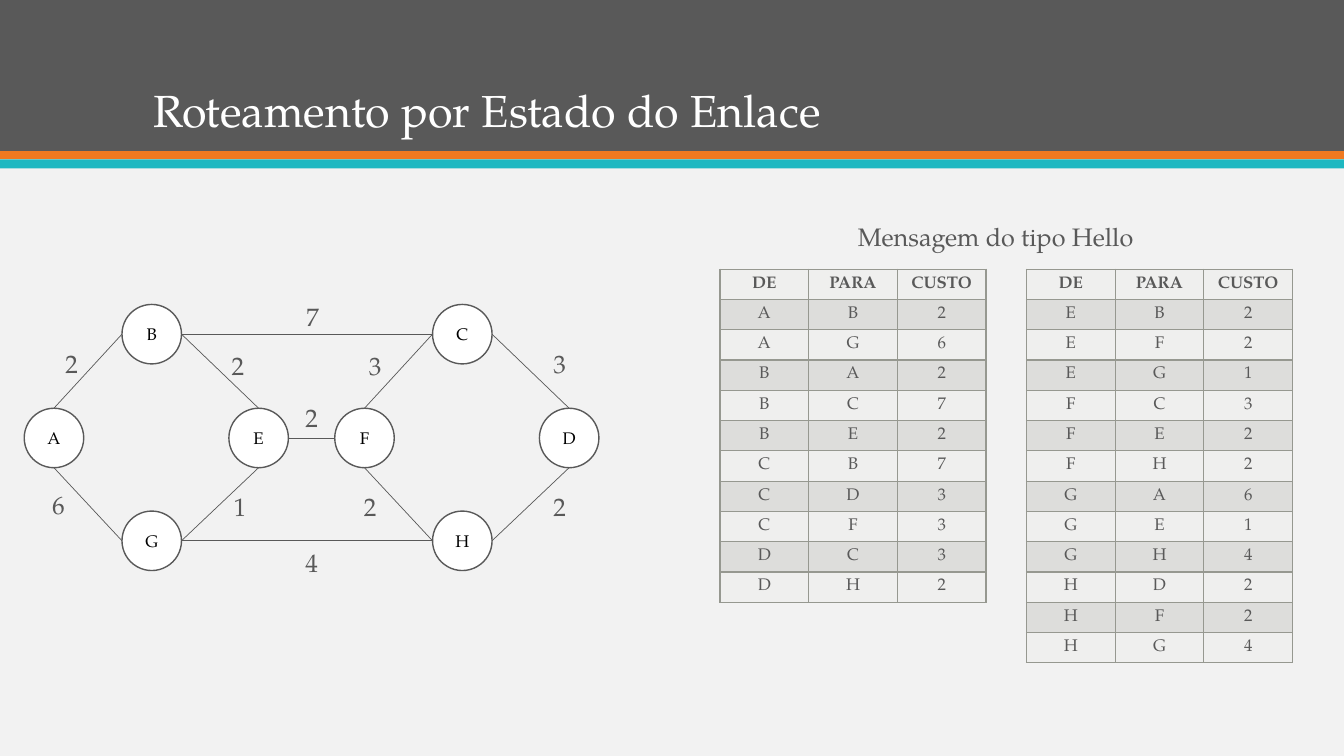
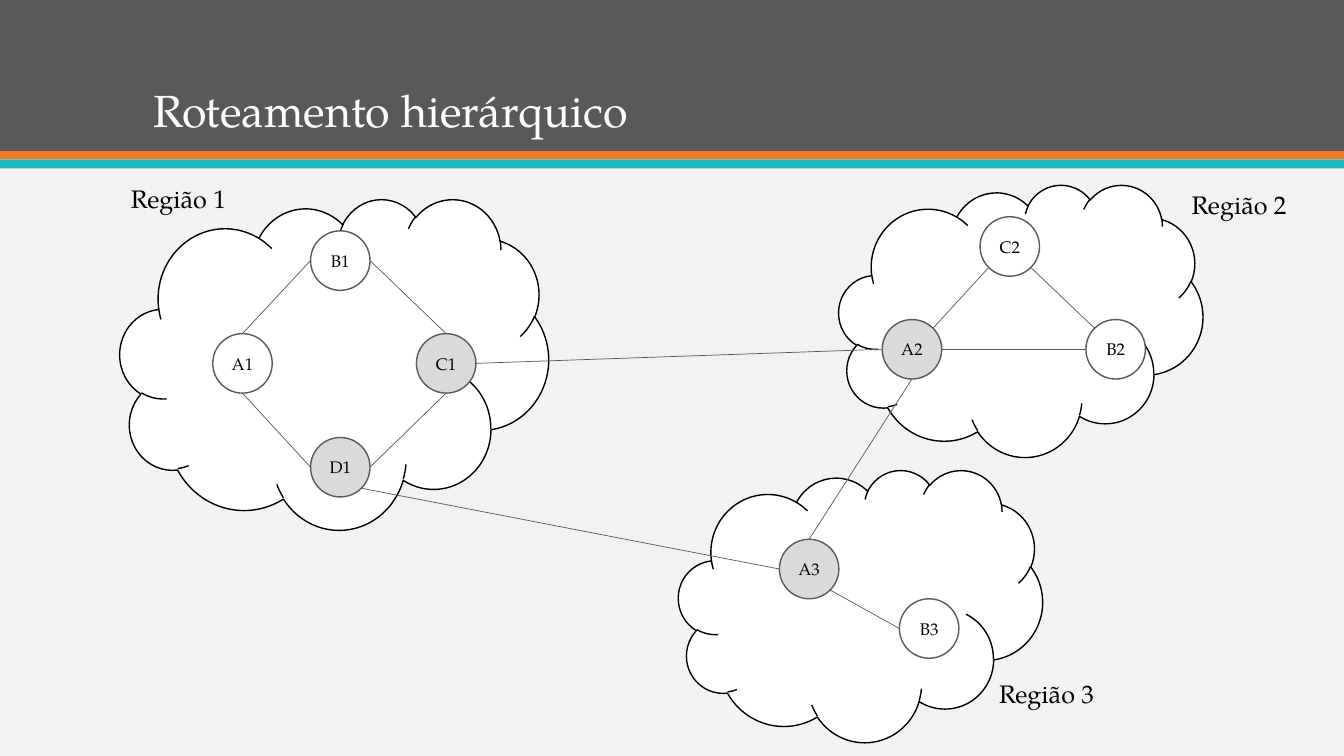
from collections import namedtuple
from dataclasses import dataclass
from math import cos, pi, sin

from lxml.etree import SubElement
from pptx import Presentation
from pptx.dml.color import RGBColor
from pptx.enum.shapes import MSO_CONNECTOR, MSO_SHAPE
from pptx.enum.text import MSO_ANCHOR, MSO_AUTO_SIZE, PP_ALIGN
from pptx.oxml.ns import qn
from pptx.util import Inches, Pt

Box = namedtuple("Box", "left top width height")
Link = namedtuple("Link", "start start_site end end_site")
Cost = namedtuple("Cost", "value dx dy")


@dataclass(frozen=True)
class Theme:
    font: str = "TeX Gyre Pagella"
    page: str = "F2F2F2"
    dark: str = "595959"
    orange: str = "EF7920"
    cyan: str = "1EB8C1"
    white: str = "FFFFFF"
    black: str = "000000"
    gateway: str = "DADADA"
    row_light: str = "EFEFEE"
    row_dark: str = "DDDDDB"
    grid: str = "969890"
    title_size: int = 32
    label_size: int = 18
    small_size: int = 12
    outline: float = 1
    link: float = 0.5


THEME = Theme()
SLIDE = Box(0, 0, 13.33, 7.5)
TITLE = Box(1.42, 0.28, 10.5, 1.13)
BANDS = [
    (Box(0, 0, SLIDE.width, 1.5), THEME.dark),
    (Box(0, 1.5, SLIDE.width, 0.08), THEME.orange),
    (Box(0, 1.58, SLIDE.width, 0.09), THEME.cyan),
]
NODE_SIZE = 0.59
LABEL_HEIGHT = 0.4
COLUMN_WIDTH, ROW_HEIGHT, TABLE_GAP = 0.88, 0.3, 0.4

# Connection sites of an ellipse, counterclockwise in steps of 45 degrees
TOP, LEFT, LOWER_LEFT, BOTTOM, LOWER_RIGHT, RIGHT, UPPER_RIGHT = 0, 2, 3, 4, 5, 6, 7
UPPER_LEFT = 1

ROUTERS = {
    "A": (0, 1.03), "B": (0.97, 0), "G": (0.97, 2.05), "E": (2.03, 1.03),
    "F": (3.08, 1.03), "C": (4.05, 0), "H": (4.05, 2.05), "D": (5.11, 1.03),
}
ROUTER_LINKS = [
    (Link("A", TOP, "B", LEFT), Cost(2, 0.31, 0.39)),
    (Link("B", RIGHT, "C", LEFT), Cost(7, 2.7, -0.08)),
    (Link("G", LEFT, "A", BOTTOM), Cost(6, 0.18, 1.79)),
    (Link("G", RIGHT, "E", BOTTOM), Cost(1, 1.98, 1.81)),
    (Link("G", RIGHT, "H", LEFT), Cost(4, 2.69, 2.36)),
    (Link("B", RIGHT, "E", TOP), Cost(2, 1.96, 0.41)),
    (Link("E", RIGHT, "F", LEFT), Cost(2, 2.69, 0.92)),
    (Link("H", LEFT, "F", BOTTOM), Cost(2, 3.27, 1.81)),
    (Link("H", RIGHT, "D", BOTTOM), Cost(2, 5.15, 1.81)),
    (Link("C", RIGHT, "D", TOP), Cost(3, 5.15, 0.39)),
    (Link("F", TOP, "C", LEFT), Cost(3, 3.32, 0.41)),
]

# Name, cloud box, label offset and node offsets of each region
REGIONS = [
    ("Região 3", Box(6.73, 4.66, 3.61, 2.7), (3.07, 2.02),
     {"A3": (1, 0.69), "B3": (2.19, 1.28)}),
    ("Região 2", Box(8.32, 1.83, 3.61, 2.7), (3.39, 0),
     {"A2": (0.43, 1.34), "B2": (2.45, 1.34), "C2": (1.4, 0.32)}),
    ("Região 1", Box(1.19, 1.97, 4.25, 3.28), (0, -0.2),
     {"A1": (0.92, 1.34), "B1": (1.89, 0.32), "C1": (2.94, 1.34), "D1": (1.89, 2.37)}),
]
GATEWAYS = {"C1", "D1", "A2", "A3"}
REGION_LINKS = [
    Link("A1", TOP, "B1", LEFT),
    Link("B1", RIGHT, "C1", TOP),
    Link("D1", RIGHT, "C1", BOTTOM),
    Link("D1", LEFT, "A1", BOTTOM),
    Link("C2", LOWER_RIGHT, "B2", UPPER_LEFT),
    Link("A2", RIGHT, "B2", LEFT),
    Link("A2", UPPER_RIGHT, "C2", LOWER_LEFT),
    Link("A3", LOWER_RIGHT, "B3", LEFT),
    Link("C1", RIGHT, "A2", LEFT),
    Link("D1", LOWER_RIGHT, "A3", LEFT),
    Link("A2", BOTTOM, "A3", TOP),
]


def rgb(code):
    return RGBColor.from_string(code)


def apply(target, **values):
    for attribute, value in values.items():
        setattr(target, attribute, value)


def inches(box):
    return [Inches(length) for length in box]


def write(frame, text, size, color, align=PP_ALIGN.LEFT, bold=False):
    paragraph = frame.paragraphs[0]
    paragraph.alignment = align
    run = paragraph.add_run()
    run.text = text
    apply(run.font, name=THEME.font, size=Pt(size), bold=bold)
    run.font.color.rgb = rgb(color)
    return paragraph


def add_filled(slide, preset, box, fill, line=None):
    shape = slide.shapes.add_shape(preset, *inches(box))
    shape.shadow.inherit = False
    shape.fill.solid()
    shape.fill.fore_color.rgb = rgb(fill)
    if line:
        shape.line.color.rgb = rgb(line)
        shape.line.width = Pt(THEME.outline)
    else:
        shape.line.fill.background()
    return shape


def add_label(slide, text, left, top, width, color=THEME.dark, align=PP_ALIGN.LEFT):
    label = slide.shapes.add_textbox(*inches(Box(left, top, width, LABEL_HEIGHT)))
    apply(label.text_frame, word_wrap=False, auto_size=MSO_AUTO_SIZE.SHAPE_TO_FIT_TEXT)
    write(label.text_frame, text, THEME.label_size, color, align)


def add_node(slide, name, left, top):
    fill = THEME.gateway if name in GATEWAYS else THEME.white
    node = add_filled(slide, MSO_SHAPE.OVAL, Box(left, top, NODE_SIZE, NODE_SIZE),
                      fill, THEME.dark)
    apply(node.text_frame, word_wrap=False, vertical_anchor=MSO_ANCHOR.MIDDLE,
          margin_left=0, margin_right=0, margin_top=0, margin_bottom=0)
    write(node.text_frame, name, THEME.small_size, THEME.black, PP_ALIGN.CENTER)
    return node


def add_nodes(slide, box, offsets):
    return {name: add_node(slide, name, box.left + dx, box.top + dy)
            for name, (dx, dy) in offsets.items()}


def site_point(node, site):
    radius, angle = node.width / 2, site * pi / 4
    return (round(node.left + radius * (1 - sin(angle))),
            round(node.top + radius * (1 - cos(angle))))


def add_link(slide, nodes, link):
    """Join two nodes at their ellipse sites, which number eight rather than four."""
    ends = [("a:stCxn", nodes[link.start], link.start_site),
            ("a:endCxn", nodes[link.end], link.end_site)]
    points = [site_point(node, site) for _, node, site in ends]
    connector = slide.shapes.add_connector(MSO_CONNECTOR.STRAIGHT, *points[0], *points[1])
    connector.line.color.rgb = rgb(THEME.dark)
    connector.line.width = Pt(THEME.link)
    element = connector._element
    SubElement(element.spPr, qn("a:effectLst"))
    for tag, node, site in ends:
        SubElement(element.nvCxnSpPr.cNvCxnSpPr, qn(tag),
                   id=str(node.shape_id), idx=str(site))


def add_cell_borders(cell):
    properties = cell._tc.get_or_add_tcPr()
    for side in ("a:lnL", "a:lnR", "a:lnT", "a:lnB"):
        border = SubElement(properties, qn(side), w=str(Pt(THEME.outline)))
        fill = SubElement(border, qn("a:solidFill"))
        SubElement(fill, qn("a:srgbClr"), val=THEME.grid)


def add_cost_table(slide, left, top, rows):
    rows = [("DE", "PARA", "CUSTO"), *rows]
    size = Box(left, top, COLUMN_WIDTH * 3, ROW_HEIGHT * len(rows))
    table = slide.shapes.add_table(len(rows), 3, *inches(size)).table
    for column in table.columns:
        column.width = Inches(COLUMN_WIDTH)
    for r, values in enumerate(rows):
        table.rows[r].height = Inches(ROW_HEIGHT)
        for c, value in enumerate(values):
            cell = table.cell(r, c)
            add_cell_borders(cell)
            cell.fill.solid()
            cell.fill.fore_color.rgb = rgb(THEME.row_dark if r % 2 else THEME.row_light)
            cell.vertical_anchor = MSO_ANCHOR.MIDDLE
            write(cell.text_frame, str(value), THEME.small_size, THEME.dark,
                  PP_ALIGN.CENTER, bold=r == 0)


def add_network(slide, box):
    nodes = add_nodes(slide, box, ROUTERS)
    for link, cost in ROUTER_LINKS:
        add_link(slide, nodes, link)
        add_label(slide, str(cost.value), box.left + cost.dx, box.top + cost.dy, 0.33)


def add_hello_panel(slide, box):
    """List every link in both directions, split into two tables by sender."""
    add_label(slide, "Mensagem do tipo Hello", box.left + 1.27, box.top, 2.97)
    messages = sorted(
        row for link, cost in ROUTER_LINKS
        for row in ((link.start, link.end, cost.value), (link.end, link.start, cost.value)))
    for index, senders in enumerate(("ABCD", "EFGH")):
        left = box.left + index * (COLUMN_WIDTH * 3 + TABLE_GAP)
        add_cost_table(slide, left, box.top + 0.52,
                       [row for row in messages if row[0] in senders])


def add_region(slide, box, name, label_offset, offsets):
    add_filled(slide, MSO_SHAPE.CLOUD, box, THEME.white, THEME.black)
    dx, dy = label_offset
    add_label(slide, name, box.left + dx, box.top + dy, 1.16, THEME.black, PP_ALIGN.CENTER)
    return add_nodes(slide, box, offsets)


def add_titled_slide(prs, title):
    slide = prs.slides.add_slide(prs.slide_layouts[5])
    heading = slide.shapes.title
    apply(heading, **dict(zip(Box._fields, inches(TITLE))))
    apply(heading.text_frame, vertical_anchor=MSO_ANCHOR.BOTTOM, word_wrap=True,
          auto_size=MSO_AUTO_SIZE.NONE)
    write(heading.text_frame, title, THEME.title_size, THEME.white).line_spacing = 0.9
    return slide


def set_up_layout(prs, slide):
    """Draw the shared bands through a slide and move them to its layout."""
    background = prs.slide_master.background.fill
    background.solid()
    background.fore_color.rgb = rgb(THEME.page)
    tree = slide.slide_layout.shapes._spTree
    for index, (box, color) in enumerate(BANDS):
        band = add_filled(slide, MSO_SHAPE.RECTANGLE, box, color)._element
        band.nvSpPr.cNvPr.set("id", str(100 + index))
        tree.insert(2 + index, band)


def build_link_state(slide):
    add_network(slide, Box(0.24, 3.02, 5.7, 2.64))
    add_hello_panel(slide, Box(7.14, 2.15, 5.68, 4.42))


def build_hierarchy(slide):
    nodes = {}
    for name, box, label_offset, offsets in REGIONS:
        nodes.update(add_region(slide, box, name, label_offset, offsets))
    for link in REGION_LINKS:
        add_link(slide, nodes, link)


def main():
    prs = Presentation()
    prs.slide_width, prs.slide_height = Inches(SLIDE.width), Inches(SLIDE.height)
    link_state = add_titled_slide(prs, "Roteamento por Estado do Enlace")
    set_up_layout(prs, link_state)
    build_link_state(link_state)
    build_hierarchy(add_titled_slide(prs, "Roteamento hierárquico"))
    prs.save("out.pptx")


if __name__ == "__main__":
    main()
